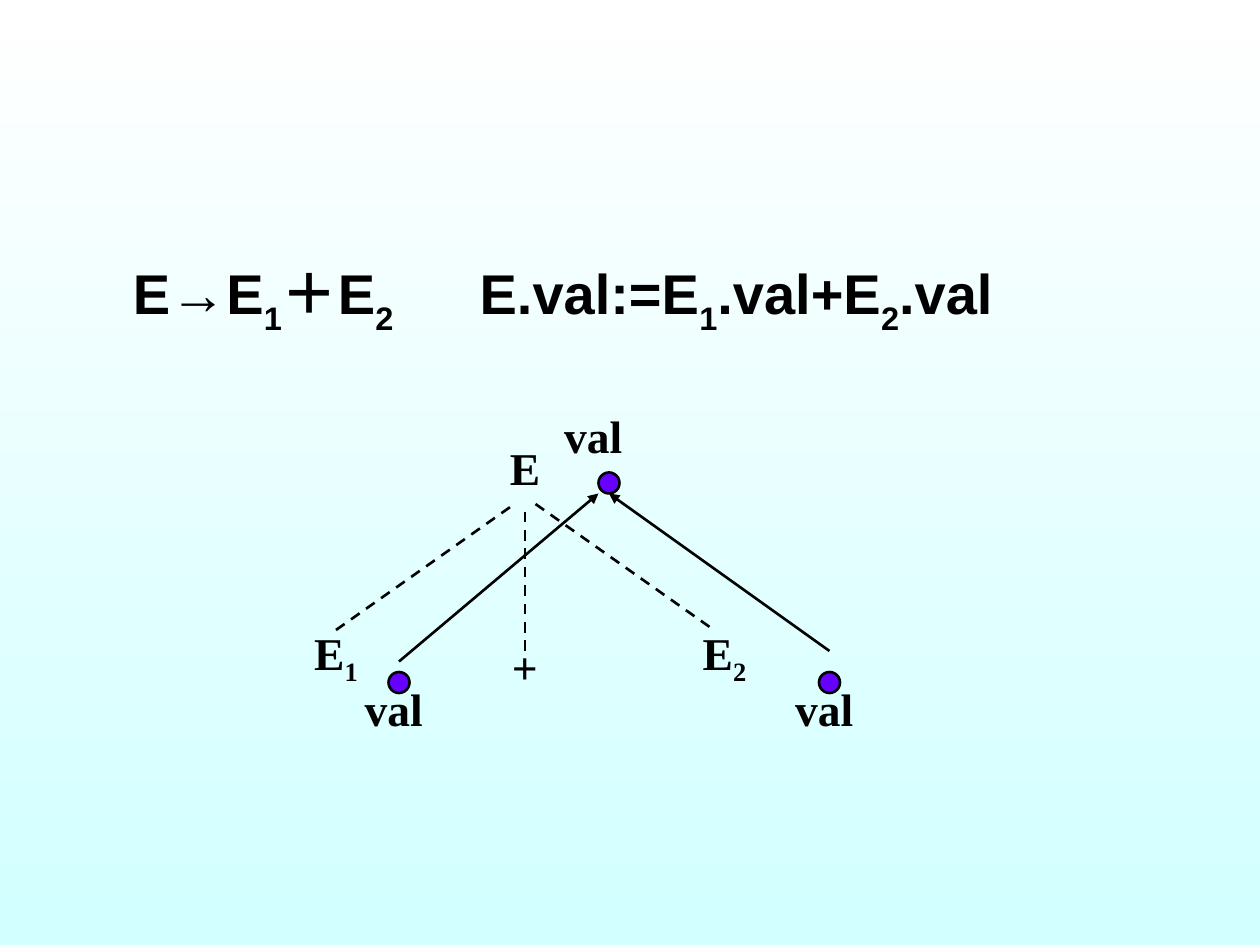
from lxml.etree import SubElement
from pptx import Presentation
from pptx.dml.color import RGBColor
from pptx.enum.dml import MSO_LINE_DASH_STYLE as Dash
from pptx.enum.shapes import MSO_CONNECTOR as Connector, MSO_SHAPE as Shape
from pptx.enum.text import MSO_ANCHOR as Anchor, PP_ALIGN as Align
from pptx.oxml.ns import qn
from pptx.util import Pt

SCALE = 7620
BLACK = "000000"
VIOLET = "6600FF"
TAB_STEP = 122


def px(length):
    """Turn px into EMU."""
    return length * SCALE


def color(value):
    """Turn a hex string into a colour."""
    return RGBColor.from_string(value)


def set_background(slide, top, bottom):
    """Fill the slide with a gradient from top to bottom."""
    fill = slide.background.fill
    fill.gradient()
    fill.gradient_angle = 270
    for stop, position, value in zip(fill.gradient_stops, (0, 1), (top, bottom)):
        stop.position = position
        stop.color.rgb = color(value)


def set_font(paragraph, name, size):
    """Give a paragraph its bold black font."""
    font = paragraph.font
    font.name, font.size, font.bold = name, Pt(size), True
    font.color.rgb = color(BLACK)


def add_runs(paragraph, parts, baseline):
    """Add alternating normal and subscript runs."""
    for index, part in enumerate(parts):
        run = paragraph.add_run()
        run.text = part
        if index % 2:
            run.font._element.set("baseline", str(baseline))


def add_formula(slide, left, top, width, height):
    """Write the production and its semantic rule on one tabbed line."""
    box = slide.shapes.add_textbox(px(left), px(top), px(width), px(height))
    box.text_frame.word_wrap = True
    paragraph = box.text_frame.paragraphs[0]
    paragraph.alignment = Align.JUSTIFY
    paragraph.line_spacing = 0.9
    properties = paragraph._p.get_or_add_pPr()
    properties.set("marL", str(px(45)))
    properties.set("indent", str(px(-45)))
    tabs = SubElement(properties, qn("a:tabLst"))
    for index in range(8):
        SubElement(tabs, qn("a:tab"), pos=str(px(index * TAB_STEP)), algn="l")
    set_font(paragraph, "Arial", 32)
    parts = (" E→E", "1", "＋E", "2\t    \t", "E.val:=E", "1", ".val+E", "2", ".val ")
    add_runs(paragraph, parts, -30000)


def add_label(slide, left, top, width, *parts):
    """Add a centred node label, its second part as subscript."""
    box = slide.shapes.add_textbox(px(left), px(top), px(width), px(70))
    frame = box.text_frame
    frame.word_wrap = False
    frame.vertical_anchor = Anchor.MIDDLE
    paragraph = frame.paragraphs[0]
    paragraph.alignment = Align.CENTER
    set_font(paragraph, "Times New Roman", 26)
    add_runs(paragraph, parts, -25000)


def add_edge(slide, start_x, start_y, end_x, end_y, arrow):
    """Draw a solid arrow or a dashed tree edge."""
    edge = slide.shapes.add_connector(
        Connector.STRAIGHT, px(start_x), px(start_y), px(end_x), px(end_y))
    edge.line.color.rgb = color(BLACK)
    edge.line.width = Pt(1.5)
    if arrow:
        SubElement(edge.line._get_or_add_ln(), qn("a:tailEnd"), type="triangle")
    else:
        edge.line.dash_style = Dash.DASH
    SubElement(edge._element.spPr, qn("a:effectLst"))


def add_dot(slide, left, top):
    """Draw the dot of an attribute."""
    dot = slide.shapes.add_shape(Shape.OVAL, px(left), px(top), px(20), px(20))
    dot.shadow.inherit = False
    dot.fill.solid()
    dot.fill.fore_color.rgb = color(VIOLET)
    dot.line.color.rgb = color(BLACK)
    dot.line.width = Pt(1.5)


def add_parse_tree(slide, left, top):
    """Draw the annotated parse tree from its top left corner."""
    labels = (
        (0, 210, 300, "E", "1"), (270, 220, 120, "+"), (370, 210, 300, "E", "2"),
        (210, 30, 240, "E"),
        (350, 0, 90, "val"), (160, 260, 90, "val"), (570, 260, 90, "val"))
    tree_edges = ((150, 220, 320, 100), (330, 240, 330, 100), (340, 100, 510, 220))
    value_flows = ((210, 250, 400, 90), (620, 240, 410, 90))
    for x, y, width, *parts in labels:
        add_label(slide, left + x, top + y, width, *parts)
    for edges, arrow in ((tree_edges, False), (value_flows, True)):
        for start_x, start_y, end_x, end_y in edges:
            add_edge(slide, left + start_x, top + start_y,
                     left + end_x, top + end_y, arrow)
    for x, y in ((200, 260), (610, 260), (400, 70)):
        add_dot(slide, left + x, top + y)


def main():
    """Build and save the slide."""
    presentation = Presentation()
    presentation.slide_width, presentation.slide_height = px(1200), px(900)
    slide = presentation.slides.add_slide(presentation.slide_layouts[6])
    set_background(slide, "FFFFFF", "D2FFFF")
    add_formula(slide, 100, 240, 1050, 70)
    add_parse_tree(slide, 170, 380)
    presentation.save("out.pptx")


if __name__ == "__main__":
    main()
